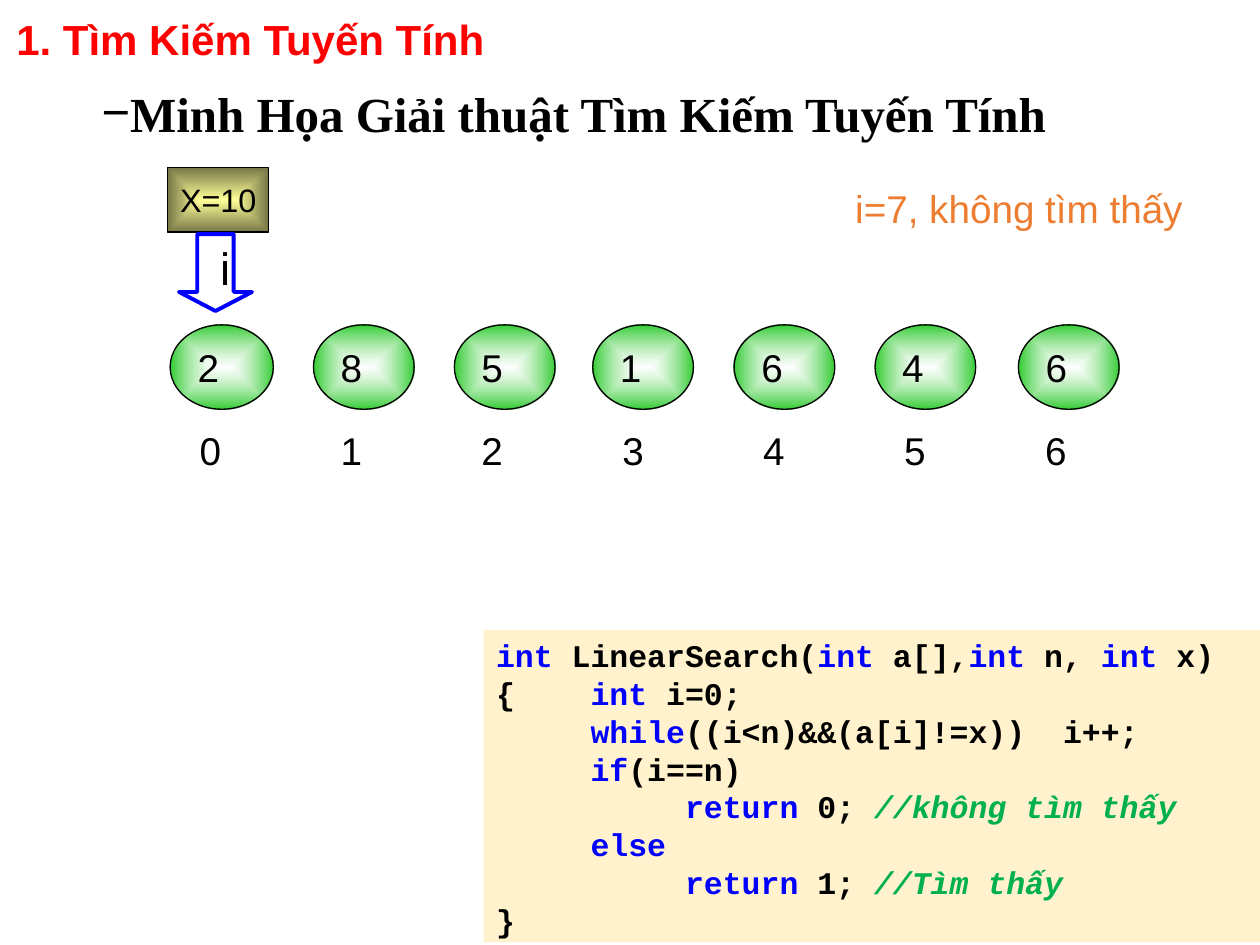
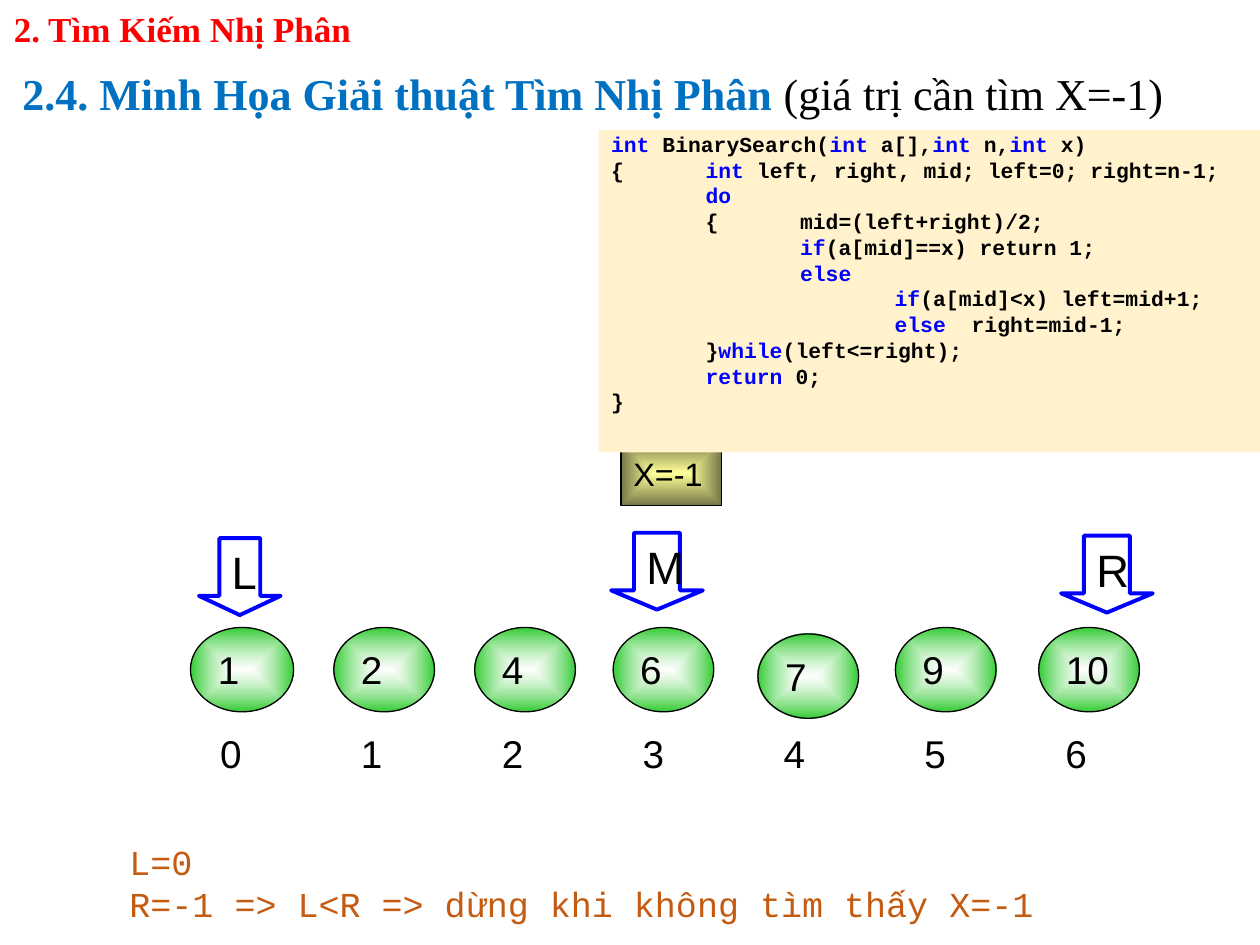
from dataclasses import dataclass

from lxml.etree import SubElement
from pptx import Presentation
from pptx.dml.color import RGBColor
from pptx.enum.shapes import MSO_SHAPE as Kind
from pptx.enum.text import MSO_ANCHOR as Anchor, PP_ALIGN as Align
from pptx.oxml import parse_xml
from pptx.oxml.ns import nsdecls, qn
from pptx.shapes.autoshape import Shape
from pptx.slide import Slide
from pptx.text.text import TextFrame
from pptx.util import Cm, Pt

BLACK = RGBColor(0x00, 0x00, 0x00)
WHITE = RGBColor(0xFF, 0xFF, 0xFF)
RED = RGBColor(0xFF, 0x00, 0x00)
BLUE = RGBColor(0x00, 0x00, 0xFF)
SKY = RGBColor(0x00, 0x70, 0xC0)
GREEN = RGBColor(0x33, 0xCC, 0x33)
LEAF = RGBColor(0x00, 0xB0, 0x50)
CREAM = RGBColor(0xFF, 0xF2, 0xCC)
YELLOW = RGBColor(0xFF, 0xFF, 0x99)
OLIVE = RGBColor(0x76, 0x76, 0x47)
ORANGE = RGBColor(0xED, 0x7D, 0x31)
RUST = RGBColor(0xC5, 0x5A, 0x11)

SANS, SERIF, MONO = "Arial", "Times New Roman", "Courier New"
TAB = 1.905
BALLS = (3.43, 6.32, 9.16, 11.95, 14.8, 17.64, 20.53)
STEP = 2.84

LINEAR = """|int| LinearSearch(|int| a[],|int| n, |int| x)
{\t|int| i=0;
\t|while|((i<n)&&(a[i]!=x)) \ti++;
\t|if|(i==n)
\t\t|return| 0; |//không tìm thấy|
\t|else|
\t\t|return| 1; |//Tìm thấy|
}"""

BINARY = """|int| BinarySearch(|int| a[],|int| n,|int| x)
{\t|int| left, right, mid; left=0; right=n-1;
\t|do|
\t{ \tmid=(left+right)/2;
\t\t|if|(a[mid]==x) return 1;
\t\t|else|
\t\t\t|if|(a[mid]<x) left=mid+1;
\t\t\t|else|  right=mid-1;
\t}|while|(left<=right);
\t|return| 0;
}"""


@dataclass(frozen=True)
class Box:
    """Place and size in centimetres."""
    x: float
    y: float
    w: float
    h: float

    def cm(self) -> list[Cm]:
        return [Cm(n) for n in (self.x, self.y, self.w, self.h)]


@dataclass(frozen=True)
class Style:
    size: float
    color: RGBColor = BLACK
    font: str = SANS
    bold: bool = False
    slant: bool = False


@dataclass(frozen=True)
class Arrow:
    label: str
    box: Box
    head: float = 0.25
    inset: float = 0.25


DIGIT = Style(22.1)
MARK = Style(25.9)
KEY = Style(18.5)


def write(frame: TextFrame, text: str, style: Style) -> None:
    frame.text = text
    for para in frame.paragraphs:
        para.alignment = Align.LEFT
        for run in para.runs:
            dress(run, style)


def dress(run, style: Style) -> None:
    font = run.font
    font.size, font.name = Pt(style.size), style.font
    font.bold, font.italic = style.bold, style.slant
    font.color.rgb = style.color


def label(slide: Slide, box: Box, text: str, style: Style,
          anchor: Anchor = Anchor.TOP) -> TextFrame:
    frame = slide.shapes.add_textbox(*box.cm()).text_frame
    frame.word_wrap = True
    frame.vertical_anchor = anchor
    write(frame, text, style)
    return frame


def form(slide: Slide, kind: Kind, box: Box) -> Shape:
    """Add a bare shape: no fill, line or shadow, text at top left."""
    shape = slide.shapes.add_shape(kind, *box.cm())
    shape.shadow.inherit = False
    shape.fill.background()
    shape.line.fill.background()
    shape.text_frame.word_wrap = True
    shape.text_frame.vertical_anchor = Anchor.TOP
    return shape


def rim(shape: Shape, color: RGBColor, width: float) -> None:
    shape.line.color.rgb = color
    shape.line.width = Pt(width)


def glow(shape: Shape, core: RGBColor, edge: RGBColor, alpha: int = 100) -> None:
    """Fill with a gradient running from the centre to the edge."""
    grad = parse_xml(
        f'<a:gradFill {nsdecls("a")} rotWithShape="1"><a:gsLst>'
        f'<a:gs pos="0"><a:srgbClr val="{core}"><a:alpha val="{alpha * 1000}"/>'
        f'</a:srgbClr></a:gs><a:gs pos="100000"><a:srgbClr val="{edge}"/></a:gs>'
        '</a:gsLst><a:path path="shape"><a:fillToRect l="50000" t="50000" '
        'r="50000" b="50000"/></a:path></a:gradFill>')
    props = shape._element.spPr
    props.replace(props.find(qn("a:noFill")), grad)


def array(slide: Slide, nums: list[int], shift: float, top: float,
          nudge: dict[int, tuple[float, float]]) -> None:
    """Draw the numbers in balls, with their indices below."""
    for i, (x, num) in enumerate(zip(BALLS, nums)):
        dx, dy = nudge.get(i, (0, 0))
        wide = 2.03 if i else 2.08
        ball = form(slide, Kind.OVAL, Box(x + shift + dx, top + dy, wide, 1.7))
        glow(ball, WHITE, GREEN, 60)
        rim(ball, BLACK, 0.75)
        write(ball.text_frame, str(num), DIGIT)
        spot = Box(3.48 + shift + i * STEP, top + 1.69, 2.03, 1.7)
        write(form(slide, Kind.OVAL, spot).text_frame, str(i), DIGIT)


def target(slide: Slide, x: float, y: float, text: str) -> None:
    tile = form(slide, Kind.RECTANGLE, Box(x, y, 2.03, 1.3))
    glow(tile, YELLOW, OLIVE)
    rim(tile, BLACK, 0.75)
    frame = tile.text_frame
    frame.word_wrap = False
    frame.vertical_anchor = Anchor.MIDDLE
    write(frame, text, KEY)


def point(slide: Slide, arrow: Arrow) -> None:
    shape = form(slide, Kind.DOWN_ARROW, arrow.box)
    shape.adjustments[0] = 0.5
    shape.adjustments[1] = arrow.head
    rim(shape, BLUE, 2.25)
    shape.text_frame.margin_left = Cm(arrow.inset)
    write(shape.text_frame, arrow.label, MARK)


def code(slide: Slide, box: Box, text: str, size: float,
         pitch: float, gap: float = 0) -> None:
    """Draw a listing; parts between bars are keywords or comments."""
    panel = form(slide, Kind.RECTANGLE, box)
    panel.fill.solid()
    panel.fill.fore_color.rgb = CREAM
    frame = panel.text_frame
    for n, line in enumerate(text.split("\n")):
        para = frame.add_paragraph() if n else frame.paragraphs[0]
        para.alignment = Align.LEFT
        para.line_spacing = pitch
        para.space_before = Pt(gap if n else 0)
        tabs = SubElement(para._p.get_or_add_pPr(), qn("a:tabLst"))
        for k in range(1, 7):
            SubElement(tabs, qn("a:tab"), pos=str(Cm(k * TAB)), algn="l")
        for k, part in enumerate(line.split("|")):
            if not part:
                continue
            note = part.startswith("//")
            color = LEAF if note else BLUE if k % 2 else BLACK
            run = para.add_run()
            run.text = part
            dress(run, Style(size, color, MONO, True, note))


def section(slide: Slide, x: float, y: float, text: str,
            size: float, font: str) -> None:
    frame = label(slide, Box(x, y, 23.6, 1.27), text,
                  Style(size, RED, font, True), Anchor.MIDDLE)
    frame.paragraphs[0].line_spacing = 0.9


def dash(frame: TextFrame) -> None:
    """Give the first paragraph a hanging dash."""
    para = frame.paragraphs[0]
    para.line_spacing = 1.1
    props = para._p.get_or_add_pPr()
    props.set("marL", str(Cm(0.48)))
    props.set("indent", str(-Cm(0.48)))
    SubElement(props, qn("a:buFont"), typeface=SANS)
    SubElement(props, qn("a:buChar"), char="−")


def linear(slide: Slide) -> None:
    head = label(slide, Box(1.8, 1.24, 23.6, 1.96),
                 "Minh Họa Giải thuật Tìm Kiếm Tuyến Tính",
                 Style(28, BLACK, SERIF, True), Anchor.MIDDLE)
    dash(head)
    array(slide, [2, 8, 5, 1, 6, 4, 6], 0, 6.55, {})
    target(slide, 3.38, 3.38, "X=10")
    point(slide, Arrow("i", Box(3.61, 4.72, 1.47, 1.55), 0.26, 0.46))
    label(slide, Box(16.99, 3.61, 7.9, 1.19), "i=7, không tìm thấy",
          Style(22.1, ORANGE))
    section(slide, 0.08, 0.2, "1. Tìm Kiếm Tuyến Tính", 24, SANS)
    code(slide, Box(9.75, 12.7, 15.65, 6.3), LINEAR, 18, 1.0)


def binary(slide: Slide) -> None:
    array(slide, [1, 2, 4, 6, 7, 9, 10], 0.41, 12.65, {4: (0.07, 0.13)})
    target(slide, 12.52, 8.89, "X=-1")
    for arrow in (Arrow("L", Box(4.01, 10.85, 1.65, 1.55)),
                  Arrow("R", Box(21.39, 10.8, 1.85, 1.55)),
                  Arrow("M", Box(12.32, 10.74, 1.85, 1.55))):
        point(slide, arrow)
    label(slide, Box(2.36, 16.81, 19.23, 1.96),
          "L=0\nR=-1 => L<R => dừng khi không tìm thấy X=-1",
          Style(20, RUST, MONO))
    section(slide, 0.03, 0, "2. Tìm Kiếm Nhị Phân", 20, SERIF)
    head = label(slide, Box(0.2, 1.12, 24.49, 1.52),
                 "2.4. Minh Họa Giải thuật Tìm Nhị Phân ",
                 Style(25.2, SKY, SERIF, True), Anchor.MIDDLE)
    run = head.paragraphs[0].add_run()
    run.text = "(giá trị cần tìm X=-1)"
    dress(run, Style(25.2, BLACK, SERIF))
    code(slide, Box(12.07, 2.62, 13.33, 6.5), BINARY, 12.2, 0.8, 3)


def main() -> None:
    deck = Presentation()
    deck.slide_width, deck.slide_height = Cm(25.4), Cm(19.05)
    for draw in (linear, binary):
        draw(deck.slides.add_slide(deck.slide_layouts[6]))
    deck.save("out.pptx")


if __name__ == "__main__":
    main()
